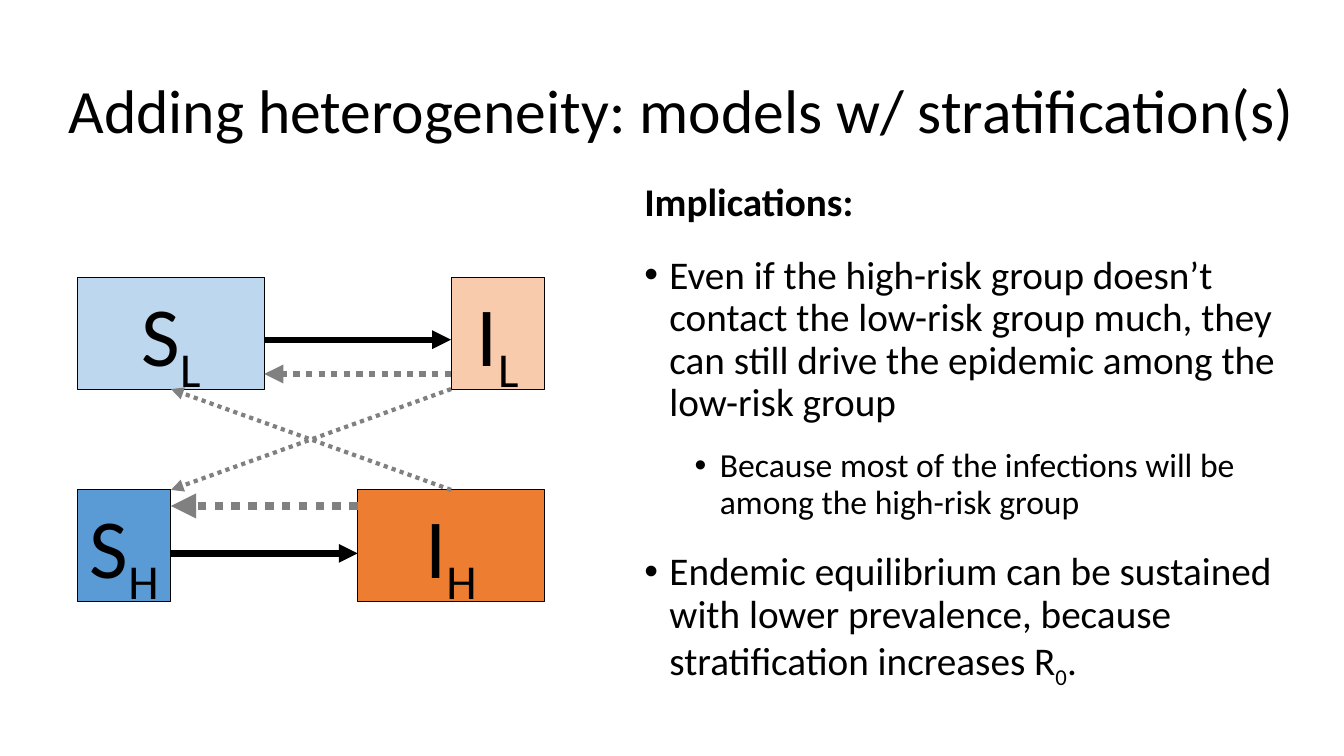
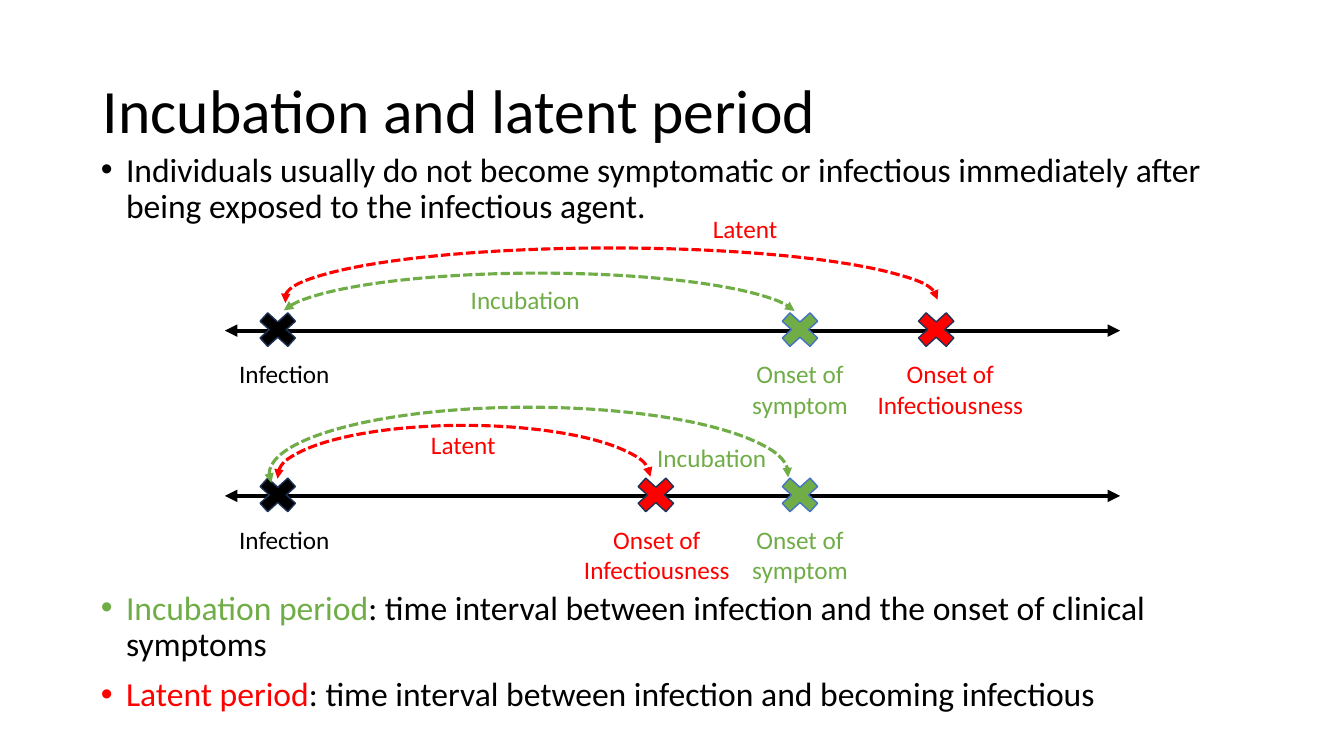
from collections import namedtuple

from lxml.etree import SubElement
from pptx import Presentation
from pptx.dml.color import RGBColor
from pptx.enum.dml import MSO_LINE_DASH_STYLE as Dash
from pptx.enum.shapes import MSO_CONNECTOR as Connector, MSO_SHAPE as Preset
from pptx.enum.text import MSO_ANCHOR as Anchor, MSO_AUTO_SIZE as AutoSize, PP_ALIGN as Align
from pptx.oxml.ns import qn
from pptx.util import Inches, Pt

# Shared look
FONT = "Calibri"
BLACK = RGBColor(0x00, 0x00, 0x00)
GRAY = RGBColor(0x80, 0x80, 0x80)
GREEN = RGBColor(0x70, 0xAD, 0x47)
RED = RGBColor(0xFF, 0x00, 0x00)
PALE_BLUE = RGBColor(0xBD, 0xD7, 0xEE)
MID_BLUE = RGBColor(0x5B, 0x9B, 0xD5)
PALE_ORANGE = RGBColor(0xF8, 0xCB, 0xAD)
ORANGE = RGBColor(0xED, 0x7D, 0x31)
NAVY_LINE = RGBColor(0x1E, 0x32, 0x56)
BLUE_LINE = RGBColor(0x44, 0x72, 0xC4)

SLIDE_WIDTH, SLIDE_HEIGHT = 13.33, 7.5
TITLE_TOP, TITLE_HEIGHT = 0.4, 1.45
SUBSCRIPT = "-25000"

Run = namedtuple("Run", "text color bold baseline", defaults=(BLACK, False, None))


class Box(namedtuple("Box", "left top width height columns rows", defaults=(1, 1))):
    """An area in inches, divided into columns and rows."""

    def point(self, column, row):
        return (Inches(self.left + column * self.width / self.columns),
                Inches(self.top + row * self.height / self.rows))

    def area(self, column=0, row=0, width=None, height=None):
        width = self.columns if width is None else width
        height = self.rows if height is None else height
        return (*self.point(column, row),
                Inches(width * self.width / self.columns),
                Inches(height * self.height / self.rows))


def apply_format(target, values):
    for name, value in values.items():
        setattr(target, name, value)


def move(shape, box):
    apply_format(shape, dict(zip(("left", "top", "width", "height"), box.area())))


def add_runs(paragraph, runs, size):
    for item in runs:
        run = paragraph.add_run()
        run.text = item.text
        apply_format(run.font, {"name": FONT, "size": Pt(size), "bold": item.bold})
        run.font.color.rgb = item.color
        if item.baseline:
            run._r.get_or_add_rPr().set("baseline", item.baseline)


def set_line(shape, color, width, dash=None, head=False, tail=False):
    shape.line.color.rgb = color
    shape.line.width = Pt(width)
    if dash:
        shape.line.dash_style = dash
    outline = shape._element.spPr.find(qn("a:ln"))
    for tag, wanted in (("a:headEnd", head), ("a:tailEnd", tail)):
        if wanted:
            SubElement(outline, qn(tag)).set("type", "triangle")


def add_line(slide, start, end, color, width, **style):
    line = slide.shapes.add_connector(Connector.STRAIGHT, *start, *end)
    set_line(line, color, width, **style)
    SubElement(line._element.spPr, qn("a:effectLst"))
    return line


def add_preset(slide, preset, area, fill=None):
    shape = slide.shapes.add_shape(preset, *area)
    shape.shadow.inherit = False
    if fill is None:
        shape.fill.background()
    else:
        shape.fill.solid()
        shape.fill.fore_color.rgb = fill
    return shape


def add_label(slide, area, text, color):
    frame = slide.shapes.add_textbox(*area).text_frame
    frame.word_wrap = True
    for index, line in enumerate(text.split("\n")):
        paragraph = frame.paragraphs[0] if index == 0 else frame.add_paragraph()
        paragraph.alignment = Align.CENTER
        add_runs(paragraph, [Run(line, color)], 18)


# Title and body placeholders
def add_titled_slide(presentation, title, left, width):
    slide = presentation.slides.add_slide(presentation.slide_layouts[1])
    shape = slide.shapes.title
    move(shape, Box(left, TITLE_TOP, width, TITLE_HEIGHT))
    apply_format(shape.text_frame, {"vertical_anchor": Anchor.MIDDLE, "word_wrap": True,
                                    "auto_size": AutoSize.NONE})
    paragraph = shape.text_frame.paragraphs[0]
    apply_format(paragraph, {"alignment": Align.LEFT, "line_spacing": 0.9})
    add_runs(paragraph, [Run(title)], 44)
    return slide


def set_bullet(paragraph, indent, color):
    properties = paragraph._p.get_or_add_pPr()
    hanging = 0 if indent is None else 0.25
    properties.set("marL", str(Inches(indent or 0)))
    properties.set("indent", str(-Inches(hanging)))
    if indent is None:
        SubElement(properties, qn("a:buNone"))
        return
    bullet_color = SubElement(properties, qn("a:buClr"))
    SubElement(bullet_color, qn("a:srgbClr")).set("val", str(color))
    SubElement(properties, qn("a:buFont")).set("typeface", "Arial")
    SubElement(properties, qn("a:buChar")).set("char", "•")


def fill_body(slide, box, items, space_after):
    """Each item is (runs, size, level, bullet indent, space before)."""
    body = slide.placeholders[1]
    move(body, box)
    frame = body.text_frame
    apply_format(frame, {"word_wrap": True, "auto_size": AutoSize.NONE,
                         "vertical_anchor": Anchor.TOP})
    for index, (runs, size, level, indent, space_before) in enumerate(items):
        paragraph = frame.paragraphs[0] if index == 0 else frame.add_paragraph()
        set_bullet(paragraph, indent, runs[0].color)
        apply_format(paragraph, {"level": level, "line_spacing": 0.9,
                                 "space_before": Pt(space_before),
                                 "space_after": Pt(space_after)})
        add_runs(paragraph, runs, size)


# Compartment diagram
def add_compartments(slide, box):
    node_rows = 1.11
    lower_row = box.rows - node_rows

    def add_arrow(start, end, color, width, dash=None):
        return add_line(slide, box.point(*start), box.point(*end), color, width,
                        dash=dash, tail=True)

    nodes = {}
    for letter, group, column, row, columns, fill in (
        ("S", "L", 0, 0, 2, PALE_BLUE),
        ("I", "L", 4, 0, 1, PALE_ORANGE),
        ("S", "H", 0, lower_row, 1, MID_BLUE),
        ("I", "H", 3, lower_row, 2, ORANGE),
    ):
        node = add_preset(slide, Preset.RECTANGLE,
                          box.area(column, row, columns, node_rows), fill)
        set_line(node, BLACK, 0.75)
        frame = node.text_frame
        apply_format(frame, {"word_wrap": True, "vertical_anchor": Anchor.TOP})
        frame.paragraphs[0].alignment = Align.CENTER
        add_runs(frame.paragraphs[0], [Run(letter), Run(group, baseline=SUBSCRIPT)], 60)
        nodes[letter + group] = node

    # Infection within each group
    for start, end, row in ((2, 4, 0.62), (1, 3, lower_row + 0.63)):
        add_arrow((start, row), (end, row), BLACK, 4.5)
    # Influence within and between groups
    for start, end, width in (
        ((4, 0.96), (2, 0.96), 4.5),
        ((3, lower_row + 0.16), (1, lower_row + 0.16), 6),
        ((4, node_rows), (1, lower_row), 3),
    ):
        add_arrow(start, end, GRAY, width, Dash.ROUND_DOT)
    crossing = add_arrow((4, lower_row), (1, node_rows), GRAY, 3, Dash.ROUND_DOT)
    crossing.begin_connect(nodes["IH"], 0)
    crossing.end_connect(nodes["SL"], 2)


# Timeline with events and period arcs
def add_timeline(slide, box, infectious_column, infectious_label_column, arcs):
    axis_row = 12.1
    marker_columns, marker_rows = 5.97, 4.8
    add_line(slide, box.point(0, axis_row), box.point(box.columns, axis_row),
             BLACK, 3, head=True, tail=True)

    for text, color, outline, column, label_column, width, height in (
        ("Infection", BLACK, NAVY_LINE, 5.91, 6.64, 23.9, 4),
        ("Onset of symptom", GREEN, BLUE_LINE, 64.24, 64.24, 13.2, 7),
        ("Onset of\nInfectiousness", RED, NAVY_LINE,
         infectious_column, infectious_label_column, 20.4, 7),
    ):
        marker = add_preset(slide, Preset.MATH_MULTIPLY,
                            box.area(column - marker_columns / 2, axis_row - 2.5,
                                     marker_columns, marker_rows), color)
        set_line(marker, outline, 1)
        add_label(slide, box.area(label_column - width / 2, axis_row + 2.3, width, height),
                  text, color)

    for text, color, area, angles, label_column, label_row in arcs:
        arc = add_preset(slide, Preset.ARC, box.area(*area))
        arc.adjustments[0], arc.adjustments[1] = angles
        set_line(arc, color, 2.25, Dash.SQUARE_DOT, head=True, tail=True)
        label_width = 16.2
        add_label(slide, box.area(label_column - label_width / 2, label_row, label_width, 4),
                  text, color)


def build_stratification(presentation):
    slide = add_titled_slide(presentation,
                             "Adding heterogeneity: models w/ stratification(s)", 0.58, 12.39)
    fill_body(slide, Box(6.29, 1.76, 6.9, 5.34), [
        ([Run("Implications:", bold=True)], 28, 0, None, 0),
        ([Run("Even if the high-risk group doesn’t contact the low-risk group much, "
              "they can still drive the epidemic among the low-risk group")], 28, 0, 0.25, 10),
        ([Run("Because most of the infections will be among the high-risk group")],
         24, 1, 0.75, 5),
        ([Run("Endemic equilibrium can be sustained with lower prevalence, "
              "because stratification increases R"),
          Run("0", baseline=SUBSCRIPT), Run(".")], 28, 0, 0.25, 10),
    ], space_after=12)
    add_compartments(slide, Box(0.77, 2.75, 4.63, 3.22, columns=5, rows=3.22))


def build_periods(presentation):
    slide = add_titled_slide(presentation, "Incubation and latent period", 0.92, 11.5)
    diagram_gap = 261
    fill_body(slide, Box(0.9, 1.47, 11.5, 6.03), [
        ([Run("Individuals usually do not become symptomatic or infectious immediately "
              "after being exposed to the infectious agent.")], 24, 0, 0.25, 0),
        ([Run("Incubation period", GREEN),
          Run(": time interval between infection and the onset of clinical symptoms")],
         24, 0, 0.25, diagram_gap),
        ([Run("Latent period", RED),
          Run(": time interval between infection and becoming infectious")], 24, 0, 0.25, 10),
    ], space_after=0)

    red_angles = (107.56, 0.09)
    timelines = (
        (2.07, 79.45, 81.03, (
            ("Incubation", GREEN, (6.08, 6.4, 58, 9.1), (109.16, 214.93), 33.56, 7),
            ("Latent", RED, (6.64, 3.9, 72.97, 10.1), red_angles, 58.11, 0),
        )),
        (3.71, 48.14, 48.25, (
            ("Latent", RED, (5.86, 5.1, 41.67, 10.1), red_angles, 26.63, 5),
            ("Incubation", GREEN, (4.95, 3.3, 58, 13.3), (106.86, 0.4), 54.39, 6.3),
        )),
    )
    for top, *parts in timelines:
        add_timeline(slide, Box(2.23, top, 8.88, 2.2, columns=100, rows=22), *parts)


def main():
    presentation = Presentation()
    apply_format(presentation, {"slide_width": Inches(SLIDE_WIDTH),
                                "slide_height": Inches(SLIDE_HEIGHT)})
    build_stratification(presentation)
    build_periods(presentation)
    presentation.save("out.pptx")


if __name__ == "__main__":
    main()
